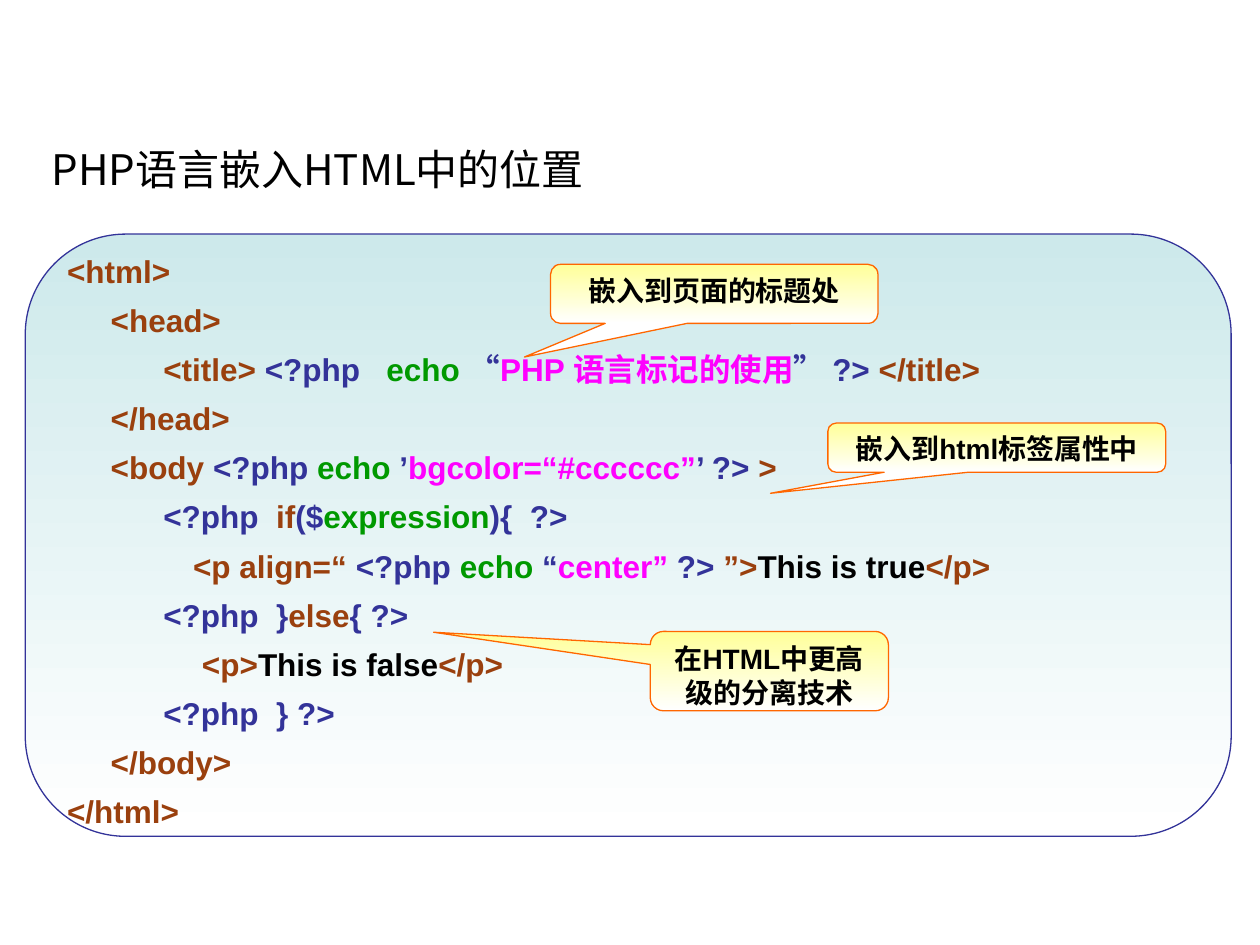
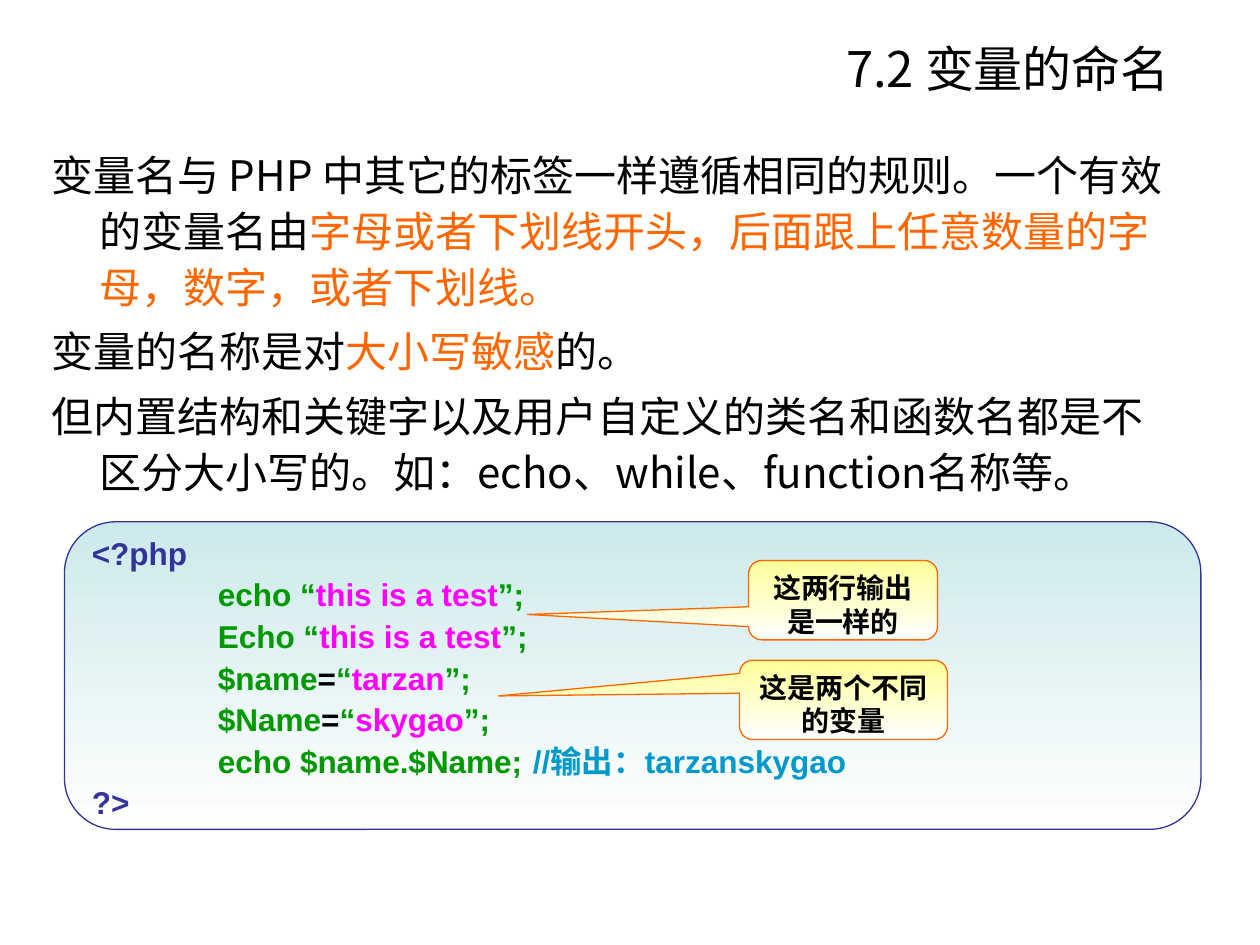
from pptx import Presentation
from pptx.dml.color import RGBColor
from pptx.enum.shapes import MSO_SHAPE
from pptx.enum.text import MSO_ANCHOR, PP_ALIGN
from pptx.oxml.ns import qn
from pptx.util import Cm, Pt
from lxml.etree import SubElement

TEXT_FONT = "Noto Sans CJK SC"
CODE_FONT = "Arial"
BLACK = "000000"
TAG = "9A400E"
PHP = "333399"
NAME = "009900"
VALUE = "FF00FF"
COMMENT = "0099CC"
ORANGE = "FF6600"
PANEL_TOP = "CDE9EB"
CALLOUT_TOP = "FFFF99"
WHITE = "FFFFFF"

HEAD = 0.88
NESTED = 1.94
BRANCH = 2.54


def colour(value):
    return RGBColor.from_string(value)


class SlideBuilder:
    def __init__(self):
        self.deck = Presentation()
        self.deck.slide_width = Cm(25.4)
        self.deck.slide_height = Cm(19.05)
        self.page = None

    def add_page(self):
        self.page = self.deck.slides.add_slide(self.deck.slide_layouts[6])

    def add_spans(self, para, spans, size, font=TEXT_FONT, bold=False):
        for text, shade, *spacing in spans:
            span = para.add_run()
            span.text = text
            span.font.size = Pt(size)
            span.font.name = font
            span.font.bold = bold
            span.font.color.rgb = colour(shade)
            properties = span._r.get_or_add_rPr()
            SubElement(properties, qn("a:ea")).set("typeface", TEXT_FONT)
            if spacing:
                properties.set("spc", str(spacing[0] * 100))

    def indent(self, para, left, first=0):
        properties = para._p.get_or_add_pPr()
        properties.set("marL", str(int(Cm(left))))
        properties.set("indent", str(int(Cm(first))))

    def paragraphs(self, frame, count):
        return [frame.paragraphs[0]] + [frame.add_paragraph() for _ in range(count - 1)]

    def text_box(self, area):
        frame = self.page.shapes.add_textbox(*map(Cm, area)).text_frame
        frame.word_wrap = True
        return frame

    def title(self, text):
        frame = self.text_box((5.77, 0.58, 18.06, 1.57))
        frame.vertical_anchor = MSO_ANCHOR.MIDDLE
        para = frame.paragraphs[0]
        para.alignment = PP_ALIGN.RIGHT
        self.add_spans(para, [(text, BLACK)], 28)

    def body(self, items, line_spacing=None):
        frame = self.text_box((0.79, 2.77, 23.01, 14.68))
        for para, spans in zip(self.paragraphs(frame, len(items)), items):
            self.indent(para, 0.97, -0.97)
            para.space_before = Pt(5)
            para.line_spacing = line_spacing
            self.add_spans(para, spans, 24)

    def gradient_shape(self, kind, area, top, line):
        shape = self.page.shapes.add_shape(kind, *map(Cm, area))
        shape.shadow.inherit = False
        shape.fill.gradient()
        shape.fill.gradient_angle = 270
        for stop, shade, position in zip(shape.fill.gradient_stops, (top, WHITE), (0, 1)):
            stop.color.rgb = colour(shade)
            stop.position = position
        shape.line.color.rgb = colour(line)
        shape.line.width = Pt(0.75)
        shape.text_frame.word_wrap = True
        return shape

    def code_panel(self, area, lines, line_spacing):
        shape = self.gradient_shape(
            MSO_SHAPE.FLOWCHART_ALTERNATE_PROCESS, area, PANEL_TOP, PHP)
        frame = shape.text_frame
        frame.vertical_anchor = MSO_ANCHOR.MIDDLE
        for para, (left, *spans) in zip(self.paragraphs(frame, len(lines)), lines):
            para.alignment = PP_ALIGN.LEFT
            para.line_spacing = line_spacing
            self.indent(para, left)
            self.add_spans(para, spans, 18, CODE_FONT, True)

    def callout(self, area, tip, text):
        shape = self.gradient_shape(
            MSO_SHAPE.ROUNDED_RECTANGULAR_CALLOUT, area, CALLOUT_TOP, ORANGE)
        shape.adjustments[0], shape.adjustments[1] = tip
        shape.text_frame.vertical_anchor = MSO_ANCHOR.TOP
        para = shape.text_frame.paragraphs[0]
        para.alignment = PP_ALIGN.CENTER
        self.add_spans(para, [(text, BLACK)], 16, CODE_FONT, True)


def build_embedding(builder):
    builder.add_page()
    builder.body([[("PHP语言嵌入HTML中的位置", BLACK)]])
    builder.code_panel((0.51, 4.72, 24.31, 12.14), [
        (0, ("<html>", TAG)),
        (HEAD, ("<head>", TAG)),
        (NESTED, ("<title> ", TAG), ("<?php", PHP), (" ", PHP, 10), ("echo ", NAME),
         ("“", PHP), ("PHP 语言标记的使用", VALUE), ("” ?> ", PHP), ("</title>", TAG)),
        (HEAD, ("</head>", TAG)),
        (HEAD, ("<body ", TAG), ("<?php ", PHP), ("echo ", NAME), ("’", PHP),
         ("bgcolor=“#cccccc”", VALUE), ("’ ?> ", PHP), (">", TAG)),
        (NESTED, ("<?php", PHP), (" ", PHP, 5), ("if", TAG), ("($", PHP),
         ("expression", NAME), ("){", PHP), (" ", PHP, 5), ("?>", PHP)),
        (BRANCH, ("<p align=“", TAG), (" <?php ", PHP), ("echo ", NAME), ("“", PHP),
         ("center”", VALUE), (" ?> ", PHP), ("”>", TAG), ("This is true", BLACK),
         ("</p>", TAG)),
        (NESTED, ("<?php", PHP), (" ", PHP, 5), ("}", PHP), ("else", TAG), ("{ ?>", PHP)),
        (BRANCH + 0.18, ("<p>", TAG), ("This is false", BLACK), ("</p>", TAG)),
        (NESTED, ("<?php", PHP), (" ", PHP, 5), ("} ?>", PHP)),
        (HEAD, ("</body>", TAG)),
        (0, ("</html>", TAG)),
    ], 1.3)
    builder.callout((11.1, 5.33, 6.6, 1.19), (-0.58, 1.07), "嵌入到页面的标题处")
    builder.callout((16.69, 8.53, 6.81, 0.99), (-0.67, 0.93), "嵌入到html标签属性中")
    builder.callout((13.11, 12.73, 4.8, 1.6), (-1.41, -0.49), "在HTML中更高级的分离技术")


def build_naming(builder):
    def quoted(start, value):
        return (BRANCH, *start, ("“", NAME), (value, VALUE), ("”;", NAME))

    builder.add_page()
    builder.title("7.2 变量的命名")
    builder.body([
        [("变量名与 PHP 中其它的标签一样遵循相同的规则。一个有效的变量名由", BLACK),
         ("字母或者下划线开头，后面跟上任意数量的字母，数字，或者下划线。", ORANGE)],
        [("变量的名称是对", BLACK), ("大小写敏感", ORANGE), ("的。", BLACK)],
        [("但内置结构和关键字以及用户自定义的类名和函数名都是不区分大小写的。"
          "如：echo、while、function名称等。", BLACK)],
    ], Pt(32))
    builder.code_panel((1.3, 10.52, 22.91, 6.2), [
        (0, ("<?php", PHP)),
        *[quoted([(command, NAME)], "this is a test") for command in ("echo ", "Echo ")],
        *[quoted([(variable, NAME), ("=", BLACK)], value)
          for variable, value in (("$name", "tarzan"), ("$Name", "skygao"))],
        (BRANCH, ("echo $name.$Name;\t", NAME), ("//输出：tarzanskygao", COMMENT)),
        (0, ("?>", PHP)),
    ], 1.1)
    builder.callout((15.09, 11.3, 3.81, 1.6), (-1.67, 0.18), "这两行输出是一样的")
    builder.callout((14.91, 13.31, 4.19, 1.6), (-1.66, -0.05), "这是两个不同的变量")


def main():
    builder = SlideBuilder()
    build_embedding(builder)
    build_naming(builder)
    builder.deck.save("out.pptx")


if __name__ == "__main__":
    main()
